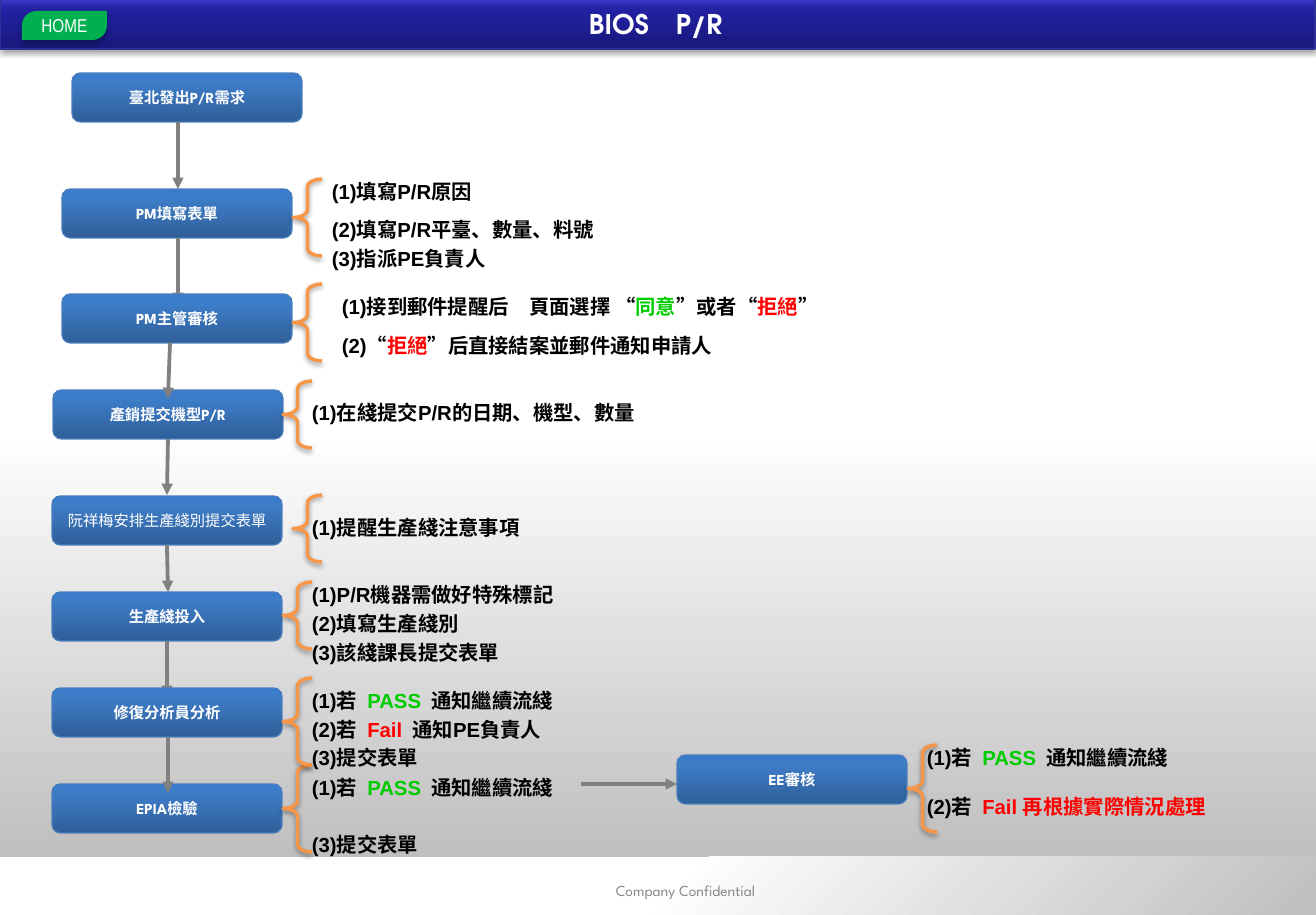
from dataclasses import dataclass

from lxml import etree
from pptx import Presentation
from pptx import util as u
from pptx.dml import color as c
from pptx.enum import shapes, text
from pptx.oxml import ns

PIXEL = 914400 / 122
PAGE = (0, 0, 1316, 915)
BOX_WIDTH, BOX_HEIGHT = 230, 49
BRACE_WIDTH, NOTE_HEIGHT = 29, 24


@dataclass(frozen=True)
class Theme:
    """Colours, gradients, shadows and type of the slide."""
    ink: str = "000000"
    white: str = "FFFFFF"
    muted: str = "898989"
    good: str = "00CC00"
    bad: str = "FF0000"
    home: str = "00B050"
    arrow: str = "808080"
    brace: str = "F79646"
    box_line: str = "4B7EBC"
    bar_line: str = "2F2F98"
    backdrop: tuple = ((0, "BFBFBF"), (50, "FFFFFF"))
    bar: tuple = ((0, "18187C"), (80, "2222A3"), (100, "3C3CCB"))
    box: tuple = ((0, "2F5F99"), (80, "3D7CC7"), (100, "3A7CCB"))
    bar_shadow: tuple = (35, 3.1, 1.8)
    home_shadow: tuple = (32, 3.5, 2.2)
    brace_shadow: tuple = (38, 3.1, 1.6)
    title_type: tuple = ("TeX Gyre Adventor", 16, True)
    home_type: tuple = ("Arial Narrow", 11, False)
    box_type: tuple = ("League Spartan", 9, True)
    plain_box_type: tuple = ("Calibri", 9, False)
    note_type: tuple = ("Arial", 12, True)
    footer_type: tuple = ("League Spartan", 9, False)


THEME = Theme()


@dataclass(frozen=True)
class Step:
    """One box of the flow, with offsets measured from that box."""
    left: int
    top: int
    label: str
    arrow: tuple = ()
    brace: tuple = ()
    note_gap: int = 30
    notes: tuple = ()
    type: tuple = THEME.box_type
    beneath: bool = False


PASS_NOTE = (("(1)若\u2002", THEME.ink), ("PASS\u2002", THEME.good), ("通知繼續流綫", THEME.ink))
SUBMIT_NOTE = "(3)提交表單"

STEPS = (
    Step(72, 73, "臺北發出P/R需求", (106, 106, 67)),
    Step(62, 189, "PM填寫表單", (116, 116, 66), (1, -10, 77), 40,
         ((-10, "(1)填寫P/R原因"), (28, "(2)填寫P/R平臺、數量、料號"), (57, "(3)指派PE負責人"))),
    Step(62, 294, "PM主管審核", (108, 106, 56), (1, -10, 77), 50,
         ((0, (("(1)接到郵件提醒后\u2003頁面選擇 “", THEME.ink), ("同意", THEME.good),
               ("”或者“", THEME.ink), ("拒絕", THEME.bad), ("”", THEME.ink))),
          (39, (("(2)“", THEME.ink), ("拒絕", THEME.bad),
                ("”后直接結案並郵件通知申請人", THEME.ink))))),
    Step(53, 390, "產銷提交機型P/R", (115, 114, 56), (0, -9, 67), 29,
         ((10, "(1)在綫提交P/R的日期、機型、數量"),), beneath=True),
    Step(52, 496, "阮祥梅安排生產綫別提交表單", (115, 116, 47), (11, -1, 67),
         notes=((19, "(1)提醒生產綫注意事項"),), type=THEME.plain_box_type),
    Step(52, 592, "生產綫投入", (115, 115, 56), (1, -10, 67),
         notes=((-10, "(1)P/R機器需做好特殊標記"), (19, "(2)填寫生產綫別"),
                (48, "(3)該綫課長提交表單"))),
    Step(52, 688, "修復分析員分析", (116, 116, 56), (1, -10, 87),
         notes=((0, PASS_NOTE),
                (29, (("(2)若\u2002", THEME.ink), ("Fail\u2002", THEME.bad),
                      ("通知PE負責人", THEME.ink))),
                (57, SUBMIT_NOTE))),
    Step(52, 784, "EPIA檢驗", (), (1, -19, 87),
         notes=((-9, PASS_NOTE), (48, SUBMIT_NOTE)), beneath=True),
    Step(677, 755, "EE審核", (), (1, -10, 87), 20,
         ((-10, PASS_NOTE),
          (39, (("(2)若\u2002", THEME.ink), ("Fail 再根據實際情況處理", THEME.bad))))),
)


def px(*values):
    """Turn whole pixels into EMU."""
    return [u.Emu(round(value * PIXEL)) for value in values]


def rgb(value):
    """Return the colour for a hex string."""
    return c.RGBColor.from_string(value)


def add_node(parent, tag, **attributes):
    """Append a DrawingML element to its parent."""
    values = {name: str(value) for name, value in attributes.items()}
    return etree.SubElement(parent, ns.qn(f"a:{tag}"), values)


def set_gradient(shape, stops, radial=False):
    """Fill a shape with stops from the bottom, or from the bottom right corner."""
    shape.fill.gradient()
    gradient = shape._element.spPr.find(ns.qn("a:gradFill"))
    gradient.clear()
    stop_list = add_node(gradient, "gsLst")
    for place, value in stops:
        add_node(add_node(stop_list, "gs", pos=place * 1000), "srgbClr", val=value)
    if radial:
        circle = add_node(gradient, "path", path="circle")
        add_node(circle, "fillToRect", l=100000, t=100000)
    else:
        add_node(gradient, "lin", ang=16200000, scaled=0)


def set_shadow(shape, shadow):
    """Give a shape a soft shadow straight below it."""
    opacity, blur, distance = shadow
    effects = shape._element.spPr.find(ns.qn("a:effectLst"))
    outer = add_node(effects, "outerShdw", blurRad=u.Pt(blur), dist=u.Pt(distance),
                     dir=5400000, rotWithShape=0)
    add_node(add_node(outer, "srgbClr", val=THEME.ink), "alpha", val=opacity * 1000)


def add_panel(page, kind, box, fill=None, line=None, width=0.75, shadow=None):
    """Add a preset shape with a solid, gradient or empty fill."""
    panel = page.shapes.add_shape(kind, *px(*box))
    panel.shadow.inherit = False
    if fill is None:
        panel.fill.background()
    elif isinstance(fill, str):
        panel.fill.solid()
        panel.fill.fore_color.rgb = rgb(fill)
    else:
        set_gradient(panel, fill)
    if line:
        panel.line.color.rgb = rgb(line)
        panel.line.width = u.Pt(width)
    else:
        panel.line.fill.background()
    if shadow:
        set_shadow(panel, shadow)
    return panel


def write(shape, spans, font, color, centred=True):
    """Write one paragraph of coloured spans into a shape."""
    frame = shape.text_frame
    frame.word_wrap = True
    frame.margin_left = frame.margin_right = frame.margin_top = frame.margin_bottom = 0
    frame.vertical_anchor = text.MSO_ANCHOR.MIDDLE if centred else text.MSO_ANCHOR.TOP
    para = frame.paragraphs[0]
    para.alignment = text.PP_ALIGN.CENTER if centred else text.PP_ALIGN.LEFT
    for words, tint in ((spans, color),) if isinstance(spans, str) else spans:
        span = para.add_run()
        span.text = words
        span.font.name, size, span.font.bold = font
        span.font.size = u.Pt(size)
        span.font.color.rgb = rgb(tint)


def add_arrow(page, *ends):
    """Draw a grey arrow between two points."""
    arrow = page.shapes.add_connector(shapes.MSO_CONNECTOR.STRAIGHT, *px(*ends))
    arrow.line.color.rgb = rgb(THEME.arrow)
    arrow.line.width = u.Pt(2.25)
    properties = arrow._element.spPr
    add_node(properties.find(ns.qn("a:ln")), "tailEnd", type="triangle")
    add_node(properties, "effectLst")


def draw_backdrop(page, box):
    """Draw the shaded page and its footer band."""
    left, top, width, height = box
    add_panel(page, shapes.MSO_SHAPE.RECTANGLE, (left, top - 6, width, height - 49), THEME.backdrop)
    band = add_panel(page, shapes.MSO_SHAPE.RECTANGLE, (left, top + height - 58, width, 58))
    set_gradient(band, THEME.backdrop, radial=True)
    footer = page.shapes.add_textbox(*px(left + 477, top + height - 49, 417, 49))
    write(footer, "Company Confidential", THEME.footer_type, THEME.muted)


def draw_header(page, box):
    """Draw the title bar with its home button."""
    left, top, width, height = box
    add_panel(page, shapes.MSO_SHAPE.RECTANGLE, box, THEME.bar, THEME.bar_line,
              shadow=THEME.bar_shadow)
    home = add_panel(page, shapes.MSO_SHAPE.ROUND_2_DIAG_RECTANGLE,
                     (left + 22, top + 12, 85, 29), THEME.home, shadow=THEME.home_shadow)
    home.adjustments[0], home.adjustments[1] = 0.5, 0
    write(home, "HOME", THEME.home_type, THEME.white)
    title = page.shapes.add_textbox(*px(left + 350, top + 3, 611, height - 6))
    write(title, "BIOS\u2003P/R", THEME.title_type, THEME.white)


def draw_step(page, box, step):
    """Draw a flow box with its brace, notes and outgoing arrow."""
    left, top, width, height = box
    right, bottom = left + width, top + height
    panel = add_panel(page, shapes.MSO_SHAPE.ROUNDED_RECTANGLE, box, THEME.box, THEME.box_line)
    write(panel, step.label, step.type, THEME.white)
    if step.brace:
        gap, rise, length = step.brace
        brace = add_panel(page, shapes.MSO_SHAPE.RIGHT_BRACE,
                          (right + gap, top + rise, BRACE_WIDTH, length),
                          line=THEME.brace, width=2, shadow=THEME.brace_shadow)
        brace.rotation = 180
        brace.adjustments[0] = 0.27
    for offset, spans in step.notes:
        note = page.shapes.add_textbox(*px(right + step.note_gap, top + offset, 490, NOTE_HEIGHT))
        write(note, spans, THEME.note_type, THEME.ink, centred=False)
    if step.arrow:
        start, end, length = step.arrow
        add_arrow(page, left + start, bottom, left + end, bottom + length)


def draw_flow(page):
    """Draw every step, beginning with the boxes that lie beneath arrow tips."""
    for step in sorted(STEPS, key=lambda item: not item.beneath):
        draw_step(page, (step.left, step.top, BOX_WIDTH, BOX_HEIGHT), step)
    add_arrow(page, 581, 784, 677, 784)


deck = Presentation()
deck.slide_width, deck.slide_height = px(*PAGE[2:])
page = deck.slides.add_slide(deck.slide_layouts[6])
draw_backdrop(page, PAGE)
draw_header(page, (0, -1, 1315, 50))
draw_flow(page)
deck.save("out.pptx")
